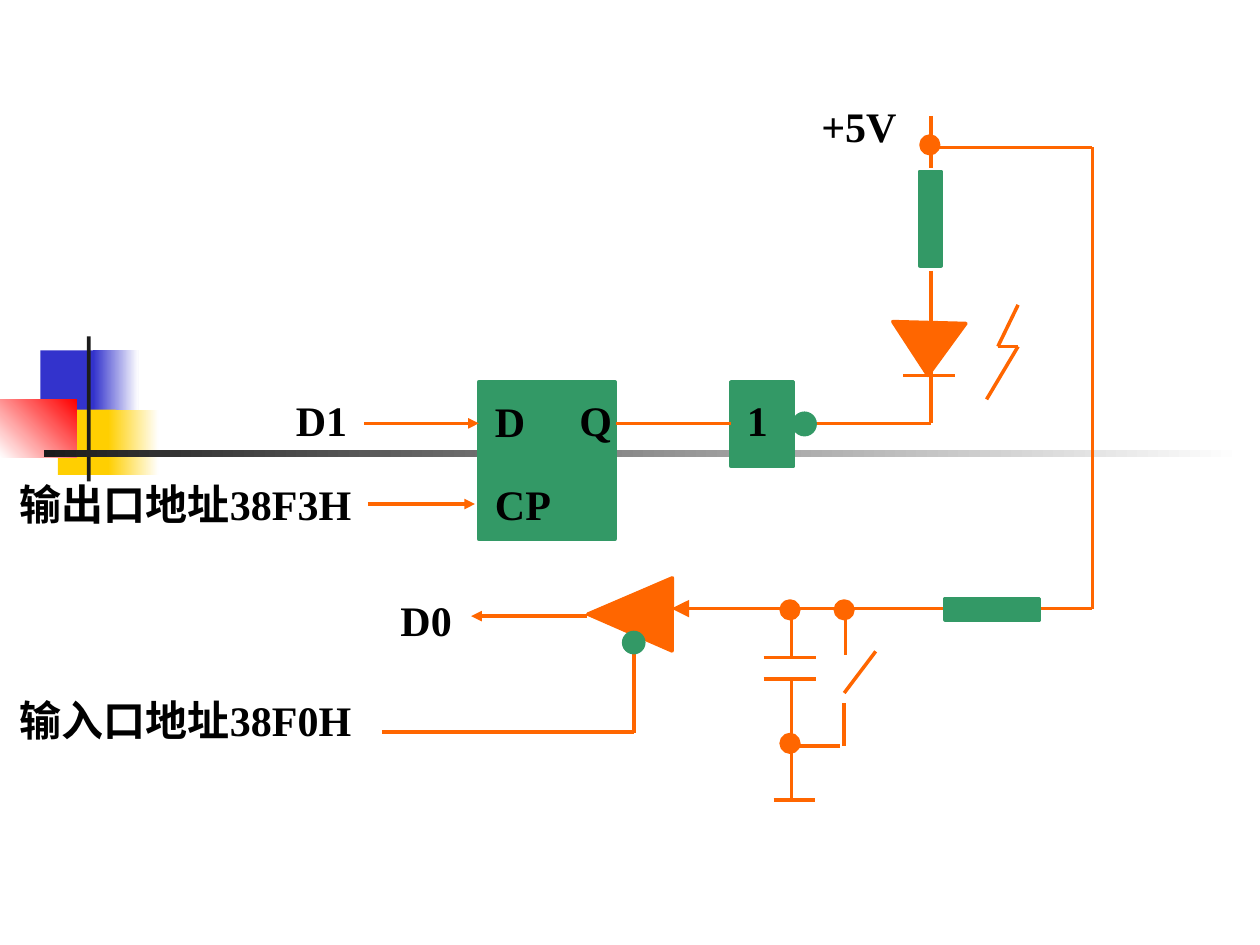
from dataclasses import dataclass

from lxml.etree import SubElement
from pptx import Presentation
from pptx.dml.color import RGBColor
from pptx.enum.shapes import MSO_CONNECTOR, MSO_SHAPE
from pptx.oxml.ns import qn
from pptx.util import Inches, Pt


@dataclass(frozen=True)
class Theme:
    font: str = "Times New Roman"
    text_size: int = 24
    line_width: int = 2
    text: str = "000000"
    wire: str = "FF6600"
    block: str = "339966"
    blue: str = "3333CC"
    yellow: str = "FFCF01"
    red: str = "FF0000"
    dark: str = "1C1C1C"
    white: str = "FFFFFF"


theme = Theme()
prs = Presentation()
prs.slide_width, prs.slide_height = Inches(10), Inches(7.5)
s = prs.slides.add_slide(prs.slide_layouts[6])


def add_part(kind, box, color, fade_to=None, angle=0, outline=True, rotation=0):
    sp = s.shapes.add_shape(kind, *map(Inches, box))
    sp.shadow.inherit = False
    sp.rotation = rotation
    if fade_to:
        sp.fill.gradient()
        sp.fill.gradient_angle = angle
        for stop, stop_color in zip(sp.fill.gradient_stops, (color, fade_to)):
            stop.color.rgb = RGBColor.from_string(stop_color)
    else:
        sp.fill.solid()
        sp.fill.fore_color.rgb = RGBColor.from_string(color)
    if outline:
        sp.line.color.rgb = RGBColor.from_string(color)
        sp.line.width = Pt(theme.line_width)
    else:
        sp.line.fill.background()


def add_wire(x1, y1, x2, y2, arrow=None):
    line = s.shapes.add_connector(
        MSO_CONNECTOR.STRAIGHT, Inches(x1), Inches(y1), Inches(x2), Inches(y2))
    line.line.color.rgb = RGBColor.from_string(theme.wire)
    line.line.width = Pt(theme.line_width)
    if arrow:
        SubElement(line.line._get_or_add_ln(), qn("a:tailEnd"),
                   type="triangle", w=arrow, len=arrow)
    SubElement(line._element.spPr, qn("a:effectLst"))


# Corner decoration and fading rule
for box, color, fade_to, angle in [
    ((0.32, 2.78, 0.48, 0.52), theme.blue, None, 0),
    ((0.74, 2.78, 0.36, 0.52), theme.blue, theme.white, 0),
    ((0.46, 3.25, 0.46, 0.52), theme.yellow, None, 0),
    ((0.86, 3.25, 0.4, 0.52), theme.yellow, theme.white, 0),
    ((0, 3.17, 0.61, 0.46), theme.white, theme.red, 45),
    ((0.69, 2.67, 0.03, 1.15), theme.dark, None, 0),
    ((0.35, 3.57, 9.51, 0.06), theme.dark, theme.white, 0),
]:
    add_part(MSO_SHAPE.RECTANGLE, box, color, fade_to, angle, outline=False)

# Input buffer and LED
for box, rotation in [((4.71, 4.54, 0.58, 0.67), 270.2),
                      ((7.08, 2.56, 0.58, 0.42), 181.5)]:
    add_part(MSO_SHAPE.ISOSCELES_TRIANGLE, box, theme.wire, rotation=rotation)

# Latch and inverter
for box in [(3.8, 3.03, 1.08, 1.25), (5.8, 3.03, 0.5, 0.67)]:
    add_part(MSO_SHAPE.RECTANGLE, box, theme.block)

# Wires
for wire in [
    # output port
    (4.89, 3.36, 5.8, 3.36), (6.47, 3.36, 7.39, 3.36),
    # LED branch
    (7.39, 0.92, 7.39, 1.33), (7.39, 2.15, 7.39, 2.56),
    (7.39, 2.86, 7.39, 3.36), (7.17, 2.98, 7.58, 2.98),
    # light flash
    (8.08, 2.42, 7.92, 2.75), (7.92, 2.75, 8.08, 2.75), (8.08, 2.75, 7.83, 3.17),
    # supply to input line
    (7.42, 1.17, 8.67, 1.17), (8.67, 1.17, 8.67, 4.83), (6.28, 4.83, 8.67, 4.83),
    # capacitor and ground
    (6.28, 4.89, 6.28, 5.22), (6.06, 5.22, 6.48, 5.22), (6.06, 5.39, 6.48, 5.39),
    (6.28, 5.39, 6.28, 6.35), (6.14, 6.35, 6.47, 6.35),
    # switch
    (6.71, 4.86, 6.71, 5.2), (6.95, 5.17, 6.7, 5.5),
    (6.7, 5.58, 6.7, 5.92), (6.33, 5.92, 6.67, 5.92),
    # buffer enable
    (5.03, 5.15, 5.03, 5.82), (3.03, 5.81, 5.03, 5.81),
]:
    add_wire(*wire)

# Signal arrows
add_wire(2.89, 3.36, 3.8, 3.36, "med")
add_wire(2.92, 4, 3.77, 4, "med")
add_wire(4.66, 4.89, 3.74, 4.89, "med")
add_wire(6.25, 4.83, 5.33, 4.83, "lg")

# Resistors
for left, top, rotation in [(7.3, 1.36, 0), (7.79, 4.46, 90)]:
    add_part(MSO_SHAPE.RECTANGLE, (left, top, 0.17, 0.75), theme.block,
             rotation=rotation)

# Inversion bubbles and junction dots
for left, top, size, color in [
    (4.95, 5.02, 0.16, theme.block), (6.3, 3.28, 0.17, theme.block),
    (6.2, 5.83, 0.14, theme.wire), (6.2, 4.77, 0.14, theme.wire),
    (6.63, 4.77, 0.14, theme.wire), (7.31, 1.08, 0.14, theme.wire),
]:
    add_part(MSO_SHAPE.OVAL, (left, top, size, size), color)

# Labels
for text, left, top, width in [
    ("D", 3.83, 3.09, 0.58), ("CP", 3.83, 3.75, 0.75), ("Q", 4.5, 3.08, 0.58),
    ("D0", 3.08, 4.67, 0.83), ("D1", 2.25, 3.08, 0.83),
    ("输出口地址38F3H", 0.06, 3.75, 2.92), ("输入口地址38F0H", 0.06, 5.46, 3.02),
    ("+5V", 6.42, 0.75, 0.83), ("1", 5.83, 3.08, 0.58),
]:
    tf = s.shapes.add_textbox(
        Inches(left), Inches(top), Inches(width), Inches(0.5)).text_frame
    tf.word_wrap = True
    tf.margin_right = 0
    r = tf.paragraphs[0].add_run()
    r.text = text
    r.font.name = theme.font
    r.font.size = Pt(theme.text_size)
    r.font.bold = True
    r.font.color.rgb = RGBColor.from_string(theme.text)

prs.save("out.pptx")
